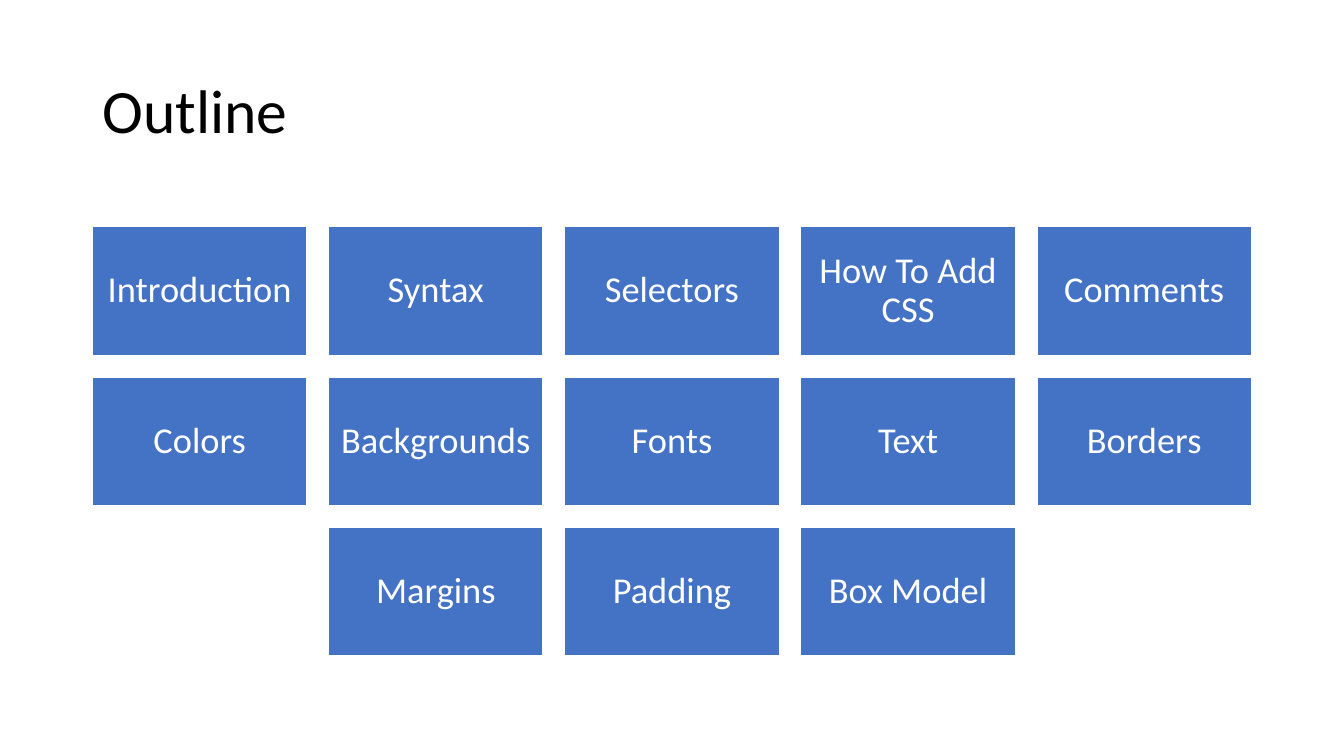
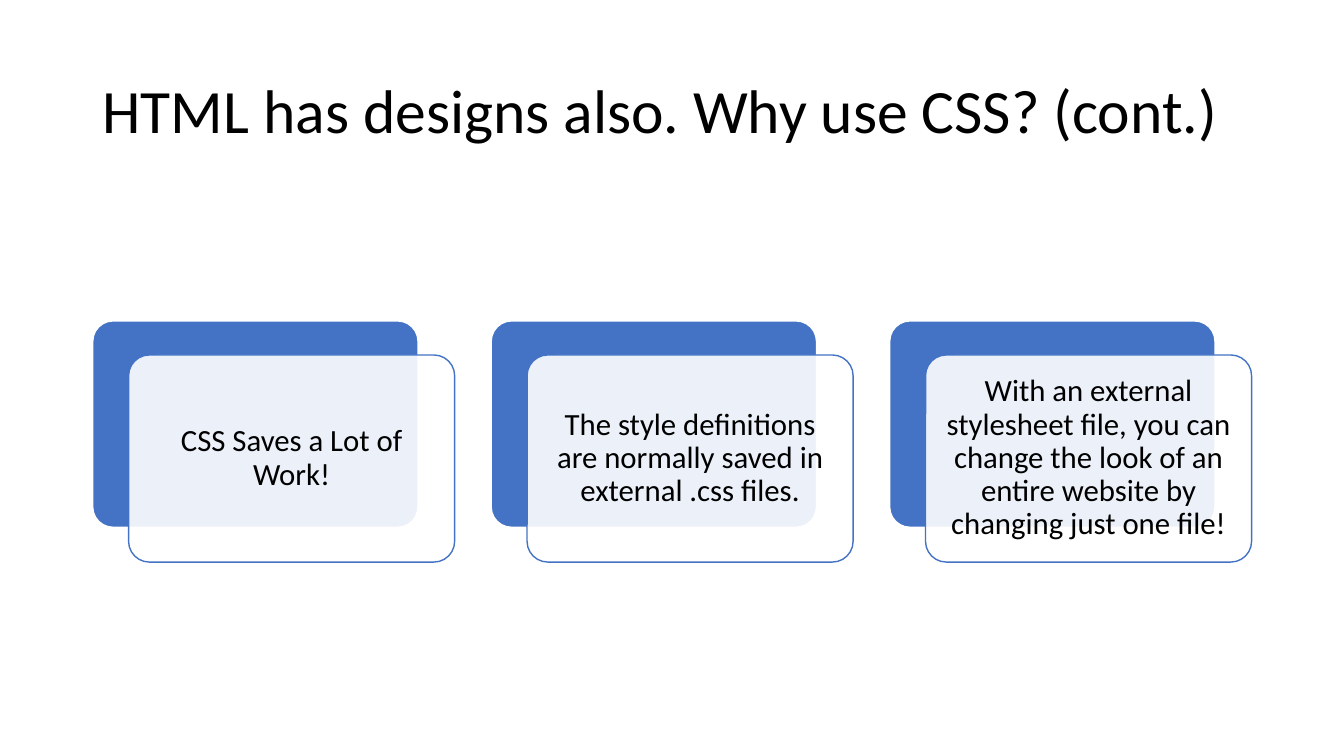
from pptx import Presentation, util as u
from pptx.dml import color
from pptx.enum import shapes, text
from pptx.oxml import ns
from lxml import etree

WIDE, HIGH, EDGE = 960, 540, 66
SPAN = WIDE - 2 * EDGE
BLUE, WHITE, BLACK = "4472C4", "FFFFFF", "000000"
FACE = "Calibri"
TOPICS = [
    ["Introduction", "Syntax", "Selectors", "How To Add CSS", "Comments"],
    ["Colors", "Backgrounds", "Fonts", "Text", "Borders"],
    ["Margins", "Padding", "Box Model"],
]
REASONS = [
    "CSS Saves a Lot of Work!",
    "The style definitions are normally saved in external .css files.",
    "With an external stylesheet file, you can change the look of an "
    "entire website by changing just one file!",
]


def paint(item, hue):
    """Give a fill or a font a solid colour from a hex string."""
    if hasattr(item, "solid"):
        item.solid()
        item = item.fore_color
    else:
        item = item.color
    item.rgb = color.RGBColor.from_string(hue)


def assign(item, values):
    """Set every attribute named in a dict."""
    for name, value in values.items():
        setattr(item, name, value)


def write(shape, words, size, hue, align):
    """Put one formatted paragraph, centred vertically, in a shape."""
    frame = shape.text_frame
    assign(frame, {"text": words, "word_wrap": True,
                   "auto_size": text.MSO_AUTO_SIZE.NONE,
                   "vertical_anchor": text.MSO_ANCHOR.MIDDLE})
    para = frame.paragraphs[0]
    assign(para, {"alignment": align, "line_spacing": 0.9})
    assign(para.font, {"name": FACE, "size": u.Pt(size)})
    paint(para.font, hue)


def label(shape, words, size, hue):
    """Centre words in a shape, with margins that follow the text size."""
    write(shape, words, size, hue, text.PP_ALIGN.CENTER)
    sides = ("left", "top", "right", "bottom")
    assign(shape.text_frame,
           {f"margin_{side}": u.Pt(0.3 * size) for side in sides})


def start(deck, words):
    """Add a slide with its title."""
    slide = deck.slides.add_slide(deck.slide_layouts[5])
    title = slide.shapes.title
    assign(title, {"left": u.Pt(EDGE), "top": u.Pt(28.75),
                   "width": u.Pt(SPAN), "height": u.Pt(104.4)})
    write(title, words, 44, BLACK, text.PP_ALIGN.LEFT)
    return slide


def block(slide, kind, place, fill, line, weight):
    """Add a filled and outlined preset shape."""
    shape = slide.shapes.add_shape(kind, *map(u.Pt, place))
    shape.shadow.inherit = False
    paint(shape.fill, fill)
    paint(shape.line.fill, line)
    shape.line.width = u.Pt(weight)
    return shape


def fade(shape, share):
    """Set the opacity of a solid fill in percent."""
    tint = shape.fill._xPr.find(ns.qn("a:solidFill"))[0]
    etree.SubElement(tint, ns.qn("a:alpha")).set("val", str(share * 1000))


def tiles(slide, rows, top):
    """Lay out rows of labelled tiles, each row centred."""
    most = max(map(len, rows))
    wide = SPAN / (most + 0.1 * (most - 1))
    high, gap = 0.6 * wide, 0.1 * wide
    for down, row in enumerate(rows):
        left = EDGE + (most - len(row)) * (wide + gap) / 2
        for over, words in enumerate(row):
            place = (left + over * (wide + gap), top + down * (high + gap),
                     wide, high)
            tile = block(slide, shapes.MSO_SHAPE.RECTANGLE, place,
                         BLUE, WHITE, 1)
            label(tile, words, 26, WHITE)


def cards(slide, items, top):
    """Lay out cards, each with a front panel shifted off its back."""
    step = SPAN / (11 * len(items) - 1)
    wide, high, drop = 9 * step, 147.9, 24.6
    for index, words in enumerate(items):
        left = EDGE + 11 * step * index
        looks = [((left, top, wide, high), BLUE, WHITE, 1.5),
                 ((left + step, top + drop, wide, high), WHITE, BLUE, 1)]
        for look in looks:
            panel = block(slide, shapes.MSO_SHAPE.ROUNDED_RECTANGLE, *look)
            panel.adjustments[0] = 0.1
        fade(panel, 90)
        label(panel, words, 22, BLACK)


def main():
    """Build and save the deck."""
    deck = Presentation()
    assign(deck, {"slide_width": u.Pt(WIDE), "slide_height": u.Pt(HIGH)})
    tiles(start(deck, "Outline"), TOPICS, 162)
    cards(start(deck, "HTML has designs also. Why use CSS? (cont.)"),
          REASONS, 229)
    deck.save("out.pptx")


if __name__ == "__main__":
    main()
